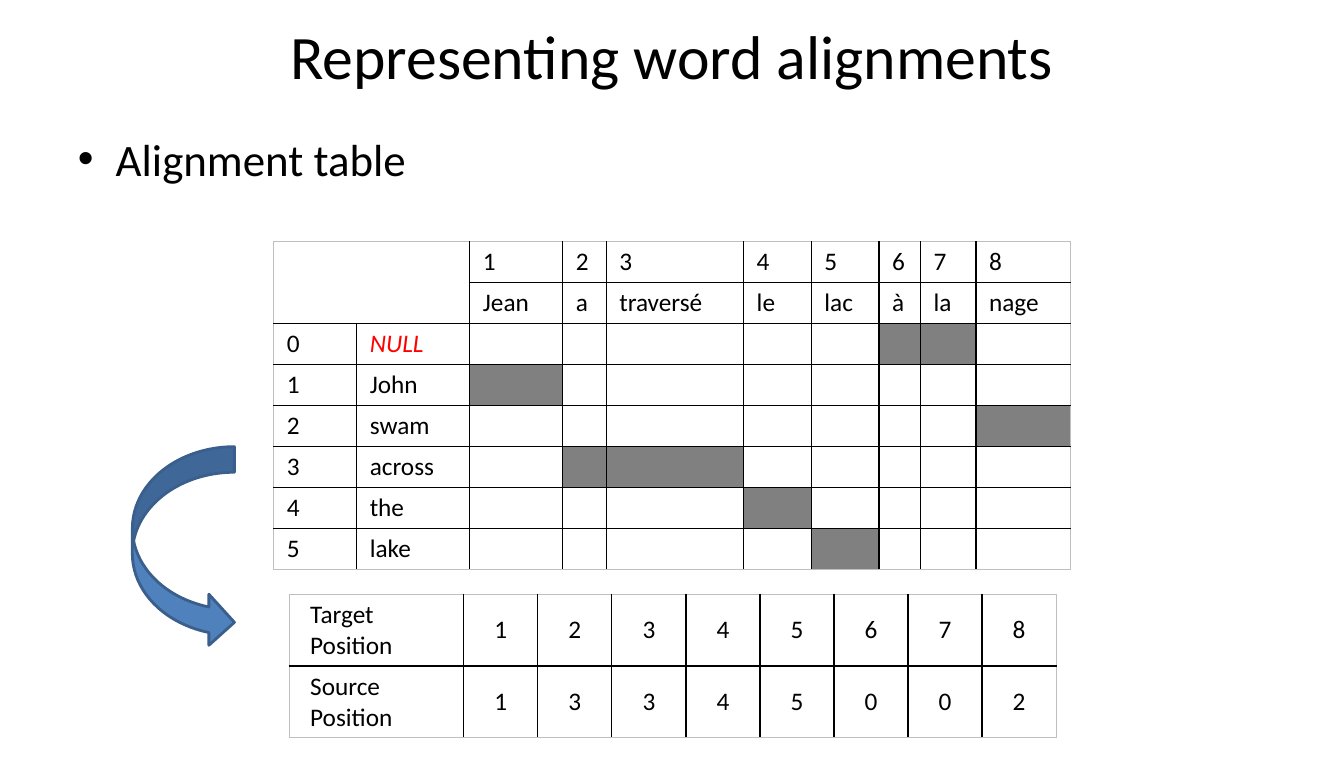
from lxml.etree import SubElement
from pptx import Presentation
from pptx.dml.color import RGBColor
from pptx.enum.shapes import MSO_SHAPE as Shape
from pptx.enum.text import MSO_ANCHOR as Anchor, PP_ALIGN as Align
from pptx.oxml.ns import qn
from pptx.util import Inches, Pt

COLORS = {
    "ink": "000000",
    "paper": "FFFFFF",
    "null": "FF0000",
    "aligned": "808080",
    "frame": "BFBFBF",
    "arrow": "4F81BD",
    "arrow_line": "3A5F8C",
}
TARGET_WORDS = ["Jean", "a", "traversé", "le", "lac", "à", "la", "nage"]
SOURCE_WORDS = ["NULL", "John", "swam", "across", "the", "lake"]
SOURCE_POSITIONS = [1, 3, 3, 4, 5, 0, 0, 2]
TARGET_POSITIONS = range(1, len(TARGET_WORDS) + 1)


class SlideBuilder:
    font = "Calibri"
    grid_columns, grid_rows = 133, 75

    def __init__(self, presentation):
        self.column = presentation.slide_width / self.grid_columns
        self.row = presentation.slide_height / self.grid_rows
        self.slide = presentation.slides.add_slide(presentation.slide_layouts[1])

    def box(self, left, top, width, height):
        return [round(length) for length in (
            left * self.column, top * self.row, width * self.column, height * self.row)]

    def color(self, name):
        return RGBColor.from_string(COLORS[name])

    def style(self, paragraph, size, color="ink", italic=False):
        for run in paragraph.runs:
            run.font.name = self.font
            run.font.size = Pt(size)
            run.font.italic = italic
            run.font.color.rgb = self.color(color)

    def placeholder(self, index, text, box, size):
        shape = self.slide.placeholders[index]
        shape.left, shape.top, shape.width, shape.height = self.box(*box)
        shape.text_frame.text = text
        self.style(shape.text_frame.paragraphs[0], size)
        return shape

    def title(self, text, box):
        shape = self.placeholder(0, text, box, 44)
        shape.fill.solid()
        shape.fill.fore_color.rgb = self.color("paper")
        shape.text_frame.vertical_anchor = Anchor.MIDDLE
        shape.text_frame.paragraphs[0].alignment = Align.CENTER

    def bullet(self, text, box):
        self.placeholder(1, text, box, 32)

    def arrow(self, box):
        shape = self.slide.shapes.add_shape(Shape.CURVED_RIGHT_ARROW, *self.box(*box))
        shape.shadow.inherit = False
        shape.fill.solid()
        shape.fill.fore_color.rgb = self.color("arrow")
        shape.line.color.rgb = self.color("arrow_line")
        shape.line.width = Pt(2)

    def borders(self, cell, outer_sides):
        properties = cell._tc.get_or_add_tcPr()
        for side in "LRTB":
            outer = side in outer_sides
            line = SubElement(properties, qn(f"a:ln{side}"), w=str(Pt(0.75 if outer else 1)))
            fill = SubElement(line, qn("a:solidFill"))
            SubElement(fill, qn("a:srgbClr"), val=COLORS["frame" if outer else "ink"])

    def table(self, values, left, top, widths, height, margin):
        box = self.box(left, top, sum(widths), height * len(values))
        table = self.slide.shapes.add_table(len(values), len(widths), *box).table
        table.first_row = table.horz_banding = False
        for column, width in zip(table.columns, widths):
            column.width = round(width * self.column)
        last_row, last_column = len(values) - 1, len(widths) - 1
        for i, row in enumerate(values):
            for j, value in enumerate(row):
                cell = table.cell(i, j)
                edges = {"L": j == 0, "R": j == last_column, "T": i == 0, "B": i == last_row}
                self.borders(cell, [side for side, outer in edges.items() if outer])
                cell.fill.background()
                cell.margin_left = cell.margin_right = Inches(margin)
                cell.text_frame.text = str(value)
                paragraph = cell.text_frame.paragraphs[0]
                paragraph.font.size = Pt(18)
                self.style(paragraph, 18)
        return table

    def alignment_table(self):
        values = [["", "", *TARGET_POSITIONS], ["", "", *TARGET_WORDS]]
        values += [[i, word] + [""] * len(TARGET_WORDS) for i, word in enumerate(SOURCE_WORDS)]
        widths = [8.2, 11.2, 9.2, 4.3, 13.6, 6.7, 6.7, 4.1, 5.5, 9.4]
        table = self.table(values, 27.1, 23.9, widths, 4.05, 0.13)
        table.cell(0, 0).merge(table.cell(1, 1))
        self.style(table.cell(2, 1).text_frame.paragraphs[0], 18, "null", italic=True)
        for target, source in enumerate(SOURCE_POSITIONS):
            fill = table.cell(source + 2, target + 2).fill
            fill.solid()
            fill.fore_color.rgb = self.color("aligned")

    def position_table(self):
        values = [["Target Position", *TARGET_POSITIONS], ["Source Position", *SOURCE_POSITIONS]]
        widths = [17.3] + [7.33] * len(TARGET_WORDS)
        table = self.table(values, 28.6, 58.8, widths, 7.1, 0.21)
        for row in table.rows:
            for cell in list(row.cells)[1:]:
                cell.vertical_anchor = Anchor.MIDDLE
                cell.text_frame.paragraphs[0].alignment = Align.CENTER


def main():
    presentation = Presentation()
    presentation.slide_width, presentation.slide_height = Inches(13.3), Inches(7.5)
    builder = SlideBuilder(presentation)
    builder.title("Representing word alignments", (0, -0.2, 133, 11.2))
    builder.bullet("Alignment table", (6.7, 12.5, 119.7, 54.5))
    builder.position_table()
    builder.arrow((13.1, 44.2, 10.1, 19.9))
    builder.alignment_table()
    presentation.save("out.pptx")


if __name__ == "__main__":
    main()
